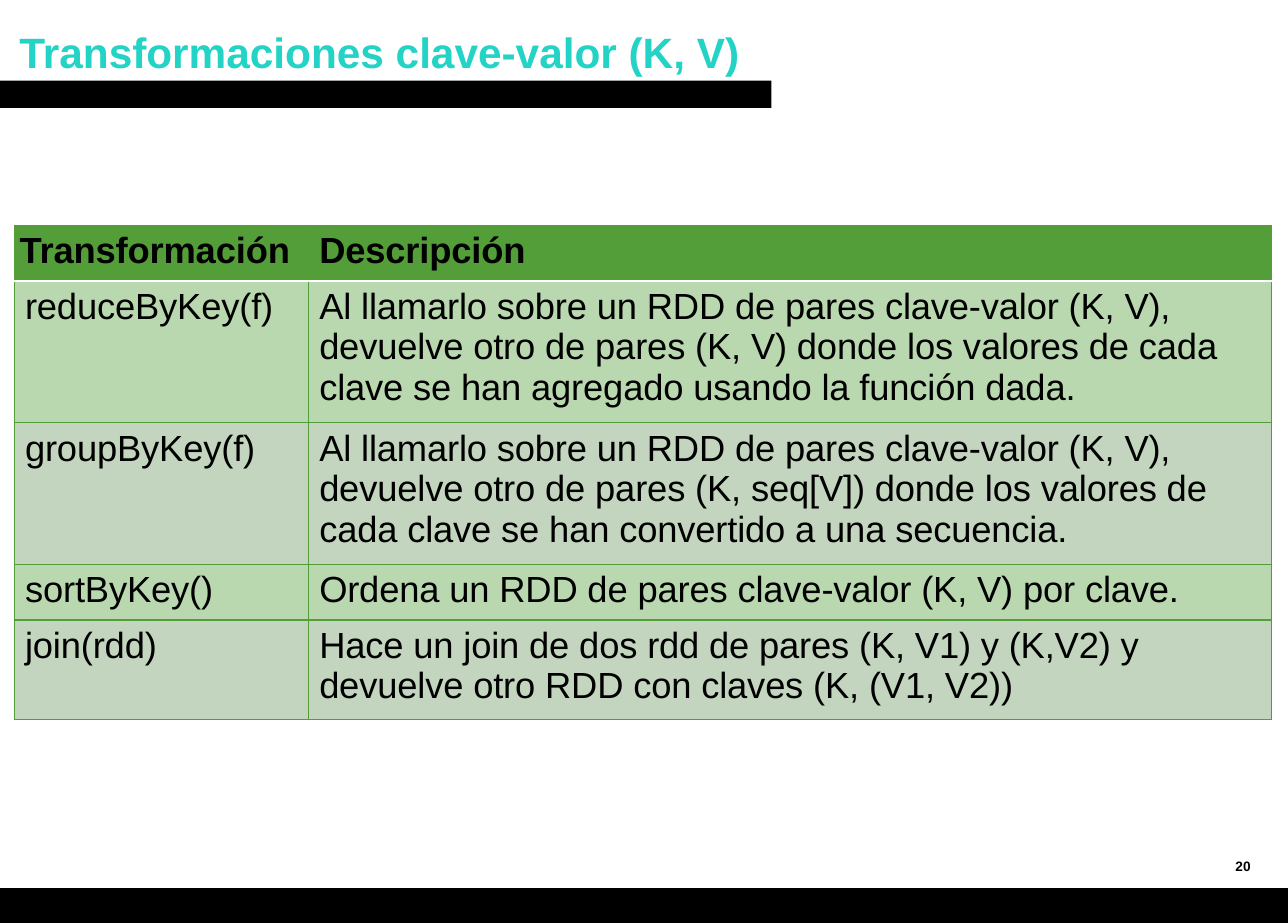
from dataclasses import dataclass

from lxml.etree import SubElement
from pptx import Presentation
from pptx.dml.color import RGBColor
from pptx.enum.shapes import MSO_SHAPE as Preset
from pptx.enum.text import MSO_ANCHOR as Anchor
from pptx.oxml.ns import qn
from pptx.util import Inches, Pt


@dataclass(frozen=True)
class Theme:
    font: str = "Arial"
    ink: str = "000000"
    title: str = "22D3C6"
    header: str = "539E39"
    divider: str = "FFFFFF"
    bands: tuple = ("BAD8AF", "C3D5BE")
    title_size: int = 28
    table_size: int = 24
    number_size: int = 9


class SlideBuilder:
    def __init__(self, presentation, theme):
        self.theme = theme
        self.slide = presentation.slides.add_slide(presentation.slide_layouts[6])

    def add_text(self, paragraph, text, size, color, bold=False):
        run = paragraph.add_run()
        run.text = text
        run.font.name = self.theme.font
        run.font.size = Pt(size)
        run.font.bold = bold
        run.font.color.rgb = RGBColor.from_string(color)
        return run

    def bar(self, left, top, width, height):
        shape = self.slide.shapes.add_shape(
            Preset.RECTANGLE, Inches(left), Inches(top), Inches(width), Inches(height))
        shape.shadow.inherit = False
        shape.fill.solid()
        shape.fill.fore_color.rgb = RGBColor.from_string(self.theme.ink)
        shape.line.fill.background()

    def label(self, box, text, size, color, anchor, top_inset=0.05):
        shape = self.slide.shapes.add_textbox(*map(Inches, box))
        frame = shape.text_frame
        frame.word_wrap = True
        frame.vertical_anchor = anchor
        frame.margin_top = Inches(top_inset)
        self.add_text(frame.paragraphs[0], text, size, color, bold=True)

    def border(self, cell, side, color, width):
        properties = cell._tc.get_or_add_tcPr()
        line = SubElement(properties, qn(f"a:ln{side}"), w=str(Pt(width)))
        fill = SubElement(line, qn("a:solidFill"))
        SubElement(fill, qn("a:srgbClr"), val=color)

    def cell(self, cell, text, fill, indent, is_header, below_header):
        theme = self.theme
        cell.margin_left = cell.margin_right = cell.margin_bottom = 0
        cell.margin_top = Inches(0.05)
        for side in "LRTB":
            divider = (is_header and side == "B") or (below_header and side == "T")
            color, width = (theme.divider, 1.5) if divider else (theme.header, 1)
            self.border(cell, side, color, width)
        cell.fill.solid()
        cell.fill.fore_color.rgb = RGBColor.from_string(fill)
        paragraph = cell.text_frame.paragraphs[0]
        paragraph._p.get_or_add_pPr().set("marL", str(Inches(indent)))
        paragraph.space_before = Pt(3)
        run = self.add_text(paragraph, text, theme.table_size, theme.ink, is_header)
        run._r.get_or_add_rPr().set("spc", "-10")

    def table(self, left, top, widths, heights, rows):
        frame = self.slide.shapes.add_table(
            len(rows), len(widths), Inches(left), Inches(top),
            Inches(sum(widths)), Inches(sum(heights)))
        table = frame.table
        for column, width in zip(table.columns, widths):
            column.width = Inches(width)
        for row, height in zip(table.rows, heights):
            row.height = Inches(height)
        for row_index, texts in enumerate(rows):
            is_header = row_index == 0
            fill = self.theme.header if is_header else self.theme.bands[(row_index - 1) % 2]
            for column_index, text in enumerate(texts):
                indent = 0.05 if is_header and column_index == 0 else 0.1
                self.cell(table.cell(row_index, column_index), text, fill,
                          indent, is_header, row_index == 1)


TRANSFORMATIONS = [
    ("Transformación", "Descripción"),
    ("reduceByKey(f)",
     "Al llamarlo sobre un RDD de pares clave-valor (K, V), devuelve otro de pares "
     "(K, V) donde los valores de cada clave se han agregado usando la función dada."),
    ("groupByKey(f)",
     "Al llamarlo sobre un RDD de pares clave-valor (K, V), devuelve otro de pares "
     "(K, seq[V]) donde los valores de cada clave se han convertido a una secuencia."),
    ("sortByKey()", "Ordena un RDD de pares clave-valor (K, V) por clave."),
    ("join(rdd)",
     "Hace un join de dos rdd de pares (K, V1) y (K,V2) y devuelve otro RDD "
     "con claves (K, (V1, V2))"),
]


def main():
    theme = Theme()
    presentation = Presentation()
    presentation.slide_width = Inches(11.82)
    presentation.slide_height = Inches(8.47)
    builder = SlideBuilder(presentation, theme)
    builder.bar(0, 8.15, 11.82, 0.32)
    builder.label((0.08, 0.15, 10.67, 0.67), "Transformaciones clave-valor (K, V)",
                  theme.title_size, theme.title, Anchor.TOP, top_inset=0.09)
    builder.label((11.24, 7.75, 0.46, 0.4), "20",
                  theme.number_size, theme.ink, Anchor.MIDDLE)
    builder.bar(0, 0.74, 7.08, 0.25)
    builder.table(0.13, 2.07, (2.7, 8.84), (0.51, 1.3, 1.3, 0.51, 0.91), TRANSFORMATIONS)
    presentation.save("out.pptx")


if __name__ == "__main__":
    main()
